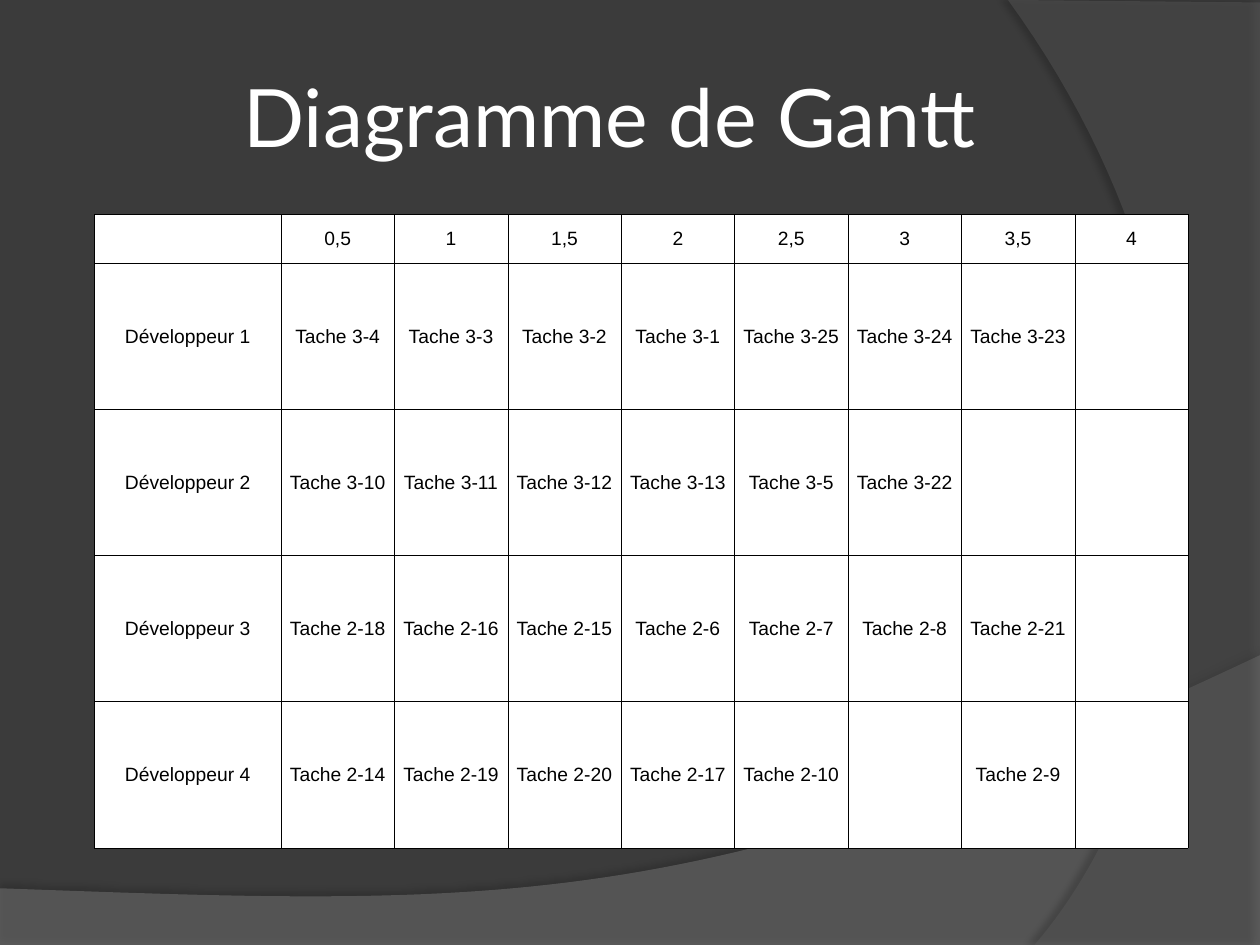
from lxml.etree import SubElement
from pptx import Presentation
from pptx.dml.color import RGBColor
from pptx.enum.text import MSO_ANCHOR as Anchor, PP_ALIGN as Align
from pptx.oxml.ns import qn
from pptx.util import Inches, Pt

# Content
TITLE = "Diagramme de Gantt"
ROWS = [
    ["", "0,5", "1", "1,5", "2", "2,5", "3", "3,5", "4"],
    ["Développeur 1", "3-4", "3-3", "3-2", "3-1", "3-25", "3-24", "3-23", ""],
    ["Développeur 2", "3-10", "3-11", "3-12", "3-13", "3-5", "3-22", "", ""],
    ["Développeur 3", "2-18", "2-16", "2-15", "2-6", "2-7", "2-8", "2-21", ""],
    ["Développeur 4", "2-14", "2-19", "2-20", "2-17", "2-10", "", "2-9", ""],
]
WIDTHS = [1.48] + [0.9] * 8
HEIGHTS = [0.39] + [1.16] * 4

# Backdrop waves: straight points, curve (start, two controls, end),
# fill, opacity, then shadow opacity, blur, distance and angle
WAVES = [
    ([(0, 7.51), (10, 7.51)],
     [(10, 5.2), (5.59, 7.29), (3.91, 7.19), (0, 7.05)],
     "7F7F7F", 45, (35, 4, 3.5, 270)),
    ([(10, 0.02), (10, 7.5)],
     [(8.21, 7.5), (9.35, 6.19), (10.18, 3), (8, 0)],
     "5E5E5E", 40, (45, 4, 4, 180)),
]


def rgb(code):
    return RGBColor.from_string(code)


def paint(fill, code):
    fill.solid()
    fill.fore_color.rgb = rgb(code)


def fade(color, percent):
    SubElement(color, qn("a:alpha"), val=str(percent * 1000))


def bezier(curve, steps=60):
    for i in range(steps + 1):
        t = i / steps
        parts = ((1 - t) ** 3, 3 * t * (1 - t) ** 2, 3 * t * t * (1 - t), t ** 3)
        yield tuple(sum(w * p[k] for w, p in zip(parts, curve)) for k in (0, 1))


def add_wave(slide, line, curve, code, alpha, shade):
    points = [(Inches(x), Inches(y)) for x, y in line + list(bezier(curve))]
    pen = slide.shapes.build_freeform(*points[0])
    pen.add_line_segments(points[1:], close=True)
    wave = pen.convert_to_shape()
    paint(wave.fill, code)
    fade(wave.fill._xPr.find(".//" + qn("a:srgbClr")), alpha)
    wave.line.fill.background()
    wave.shadow.inherit = False
    dark, blur, gap, angle = shade
    glow = SubElement(
        wave._element.spPr.find(qn("a:effectLst")), qn("a:outerShdw"),
        blurRad=str(Pt(blur)), dist=str(Pt(gap)), dir=str(angle * 60000),
        algn="ctr", rotWithShape="0")
    fade(SubElement(glow, qn("a:srgbClr"), val="000000"), dark)


def write(frame, text, size, font, code):
    para = frame.paragraphs[0]
    para.alignment = Align.CENTER
    para.font.size = Pt(size)
    if text:
        run = para.add_run()
        run.text = text
        run.font.size = Pt(size)
        run.font.name = font
        run.font.color.rgb = rgb(code)


def add_edges(cell):
    props = cell._tc.get_or_add_tcPr()
    for side in ("lnL", "lnR", "lnT", "lnB"):
        edge = SubElement(props, qn("a:" + side), w=str(Pt(0.38)))
        SubElement(SubElement(edge, qn("a:solidFill")), qn("a:srgbClr"), val="000000")


def add_plan(slide):
    plan = slide.shapes.add_table(
        len(ROWS), len(WIDTHS), Inches(0.75), Inches(1.7),
        Inches(sum(WIDTHS)), Inches(sum(HEIGHTS))).table
    plan.first_row = plan.horz_banding = False
    for col, width in zip(plan.columns, WIDTHS):
        col.width = Inches(width)
    for row, height in zip(plan.rows, HEIGHTS):
        row.height = Inches(height)
    for r, row in enumerate(ROWS):
        for c, text in enumerate(row):
            cell = plan.cell(r, c)
            add_edges(cell)
            paint(cell.fill, "FFFFFF")
            cell.vertical_anchor = Anchor.MIDDLE
            cell.margin_left = cell.margin_right = Inches(0.05)
            cell.margin_top = cell.margin_bottom = Inches(0.02)
            task = r and c and text
            write(cell.text_frame, f"Tache {text}" if task else text,
                  11, "Arial", "000000")


def main():
    deck = Presentation()
    deck.slide_width, deck.slide_height = Inches(10), Inches(7.5)
    slide = deck.slides.add_slide(deck.slide_layouts[6])
    paint(slide.background.fill, "3B3B3B")
    for wave in WAVES:
        add_wave(slide, *wave)

    # Title
    box = slide.shapes.add_textbox(Inches(0.75), Inches(0.29), Inches(8.17), Inches(1.25))
    frame = box.text_frame
    frame.word_wrap = True
    frame.vertical_anchor = Anchor.MIDDLE
    frame.margin_left = frame.margin_right = Inches(0.05)
    frame.margin_top = frame.margin_bottom = Inches(0.05)
    write(frame, TITLE, 46, "Lato", "FFFFFF")

    add_plan(slide)
    deck.save("out.pptx")


if __name__ == "__main__":
    main()
